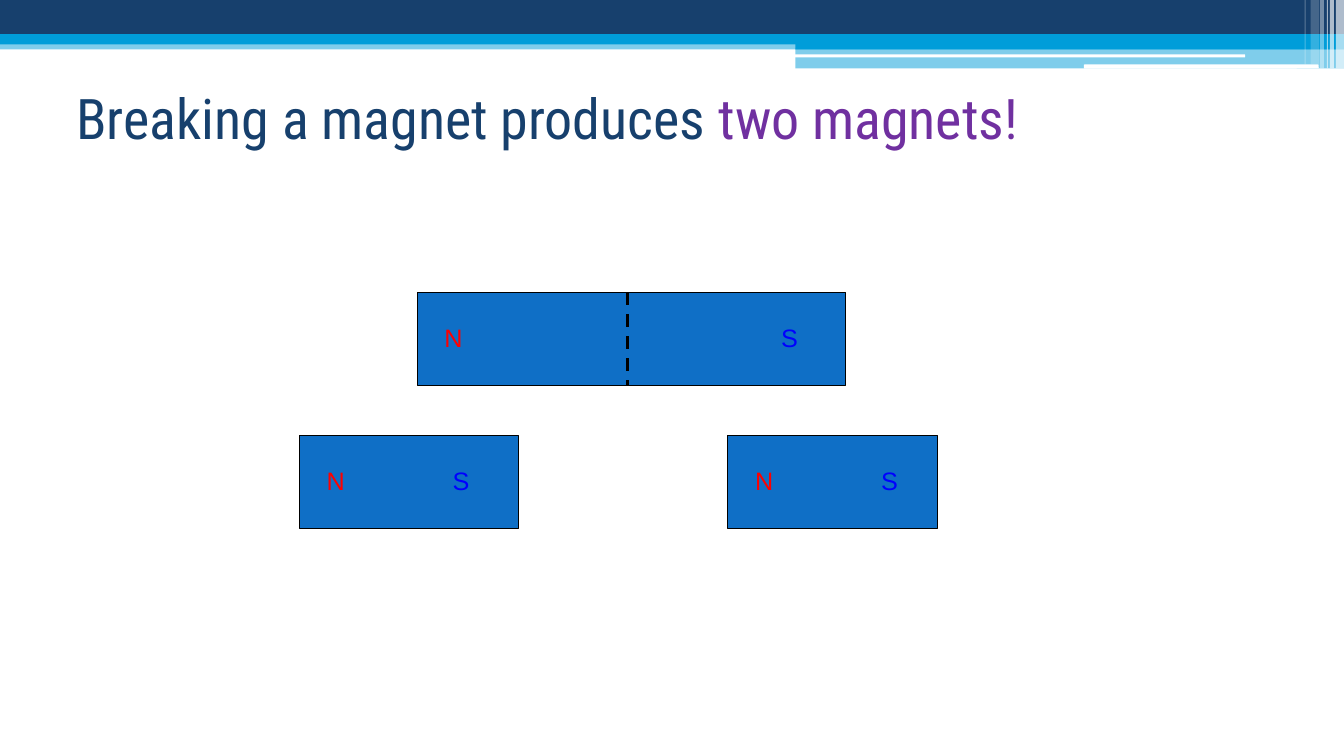
"""Build the slide on how a broken magnet becomes two magnets."""
from lxml import etree
from pptx import Presentation
from pptx.dml.color import RGBColor
from pptx.enum import dml, shapes, text
from pptx.oxml.ns import qn
from pptx.util import Inches, Pt

COLORS = {
    "navy": "17406D", "cyan": "009DD9", "white": "FFFFFF", "purple": "7030A0",
    "magnet": "0F6FC6", "black": "000000", "N": "FF0000", "S": "0000FF",
}
SLIDE_W, SLIDE_H = 13.33, 7.5
TITLE = [("Breaking a magnet produces ", "navy"), ("two magnets!", "purple")]
TITLE_BOX = (0.66, 0.58, 12, 1.17)

BANDS = [
    (0, 0.4, SLIDE_W, 0.09, "cyan", 50),
    (0, 0, SLIDE_W, 0.34, "navy", 100),
    (0, 0.34, SLIDE_W, 0.1, "cyan", 100),
    (7.89, 0.39, 5.44, 0.1, "cyan", 100),
    (7.89, 0.48, 5.44, 0.2, "cyan", 50),
]
ROUNDED_GAPS = [(7.88, 0.54, 4.47, 0.03), (10.75, 0.64, 2.33, 0.04)]
STRIPES = [
    (13.25, 0.08, 0.68, 65), (13.19, 0.04, 0.68, 65), (13.16, 0.01, 0.68, 60),
    (13.09, 0.04, 0.68, 40), (13, 0.08, 0.64, 20), (12.94, 0.01, 0.64, 30),
]

MAGNETS = [
    {"left": 4.14, "top": 2.9, "width": 4.25, "pole_gap": 3.34},
    {"left": 2.97, "top": 4.32, "width": 2.17, "pole_gap": 1.25},
    {"left": 7.22, "top": 4.32, "width": 2.08, "pole_gap": 1.25},
]
MAGNET_H = 0.92
POLE_INSET_X, POLE_INSET_Y, POLE_W, POLE_H = 0.17, 0.25, 0.42, 0.4
BREAK_X = 6.22


def rgb(name):
    return RGBColor.from_string(COLORS[name])


def add_block(slide, box, color, opacity=100, kind=shapes.MSO_SHAPE.RECTANGLE):
    block = slide.shapes.add_shape(kind, *map(Inches, box))
    block.shadow.inherit = False
    block.fill.solid()
    block.fill.fore_color.rgb = rgb(color)
    block.line.fill.background()
    if opacity < 100:
        tint = block.fill._xPr.find(".//" + qn("a:srgbClr"))
        etree.SubElement(tint, qn("a:alpha"), val=str(opacity * 1000))
    return block


def add_text(slide, box, runs, font, size, anchor):
    frame = slide.shapes.add_textbox(*map(Inches, box)).text_frame
    frame.word_wrap = True
    frame.vertical_anchor = anchor
    for wording, color in runs:
        run = frame.paragraphs[0].add_run()
        run.text = wording
        run.font.name = font
        run.font.size = Pt(size)
        run.font.color.rgb = rgb(color)


def add_magnet(slide, left, top, width, pole_gap):
    bar = add_block(slide, (left, top, width, MAGNET_H), "magnet")
    bar.line.color.rgb = rgb("black")
    bar.line.width = Pt(0.75)
    for index, pole in enumerate("NS"):
        box = (left + POLE_INSET_X + index * pole_gap, top + POLE_INSET_Y, POLE_W, POLE_H)
        add_text(slide, box, [(pole, pole)], "Arial", 18, text.MSO_ANCHOR.TOP)


def add_break_line(slide, top):
    ends = (BREAK_X, top, BREAK_X, top + MAGNET_H)
    cut = slide.shapes.add_connector(shapes.MSO_CONNECTOR.STRAIGHT, *map(Inches, ends))
    cut.line.color.rgb = rgb("black")
    cut.line.width = Pt(2.25)
    cut.line.dash_style = dml.MSO_LINE.DASH
    etree.SubElement(cut._element.spPr, qn("a:effectLst"))


def main():
    deck = Presentation()
    deck.slide_width, deck.slide_height = Inches(SLIDE_W), Inches(SLIDE_H)
    slide = deck.slides.add_slide(deck.slide_layouts[6])
    for *box, color, opacity in BANDS:
        add_block(slide, box, color, opacity)
    for box in ROUNDED_GAPS:
        add_block(slide, box, "white", kind=shapes.MSO_SHAPE.ROUNDED_RECTANGLE)
    for left, width, height, opacity in STRIPES:
        add_block(slide, (left, 0, width, height), "white", opacity)
    add_text(slide, TITLE_BOX, TITLE, "Roboto Condensed", 40, text.MSO_ANCHOR.MIDDLE)
    for magnet in MAGNETS:
        add_magnet(slide, **magnet)
    add_break_line(slide, MAGNETS[0]["top"])
    deck.save("out.pptx")


if __name__ == "__main__":
    main()
